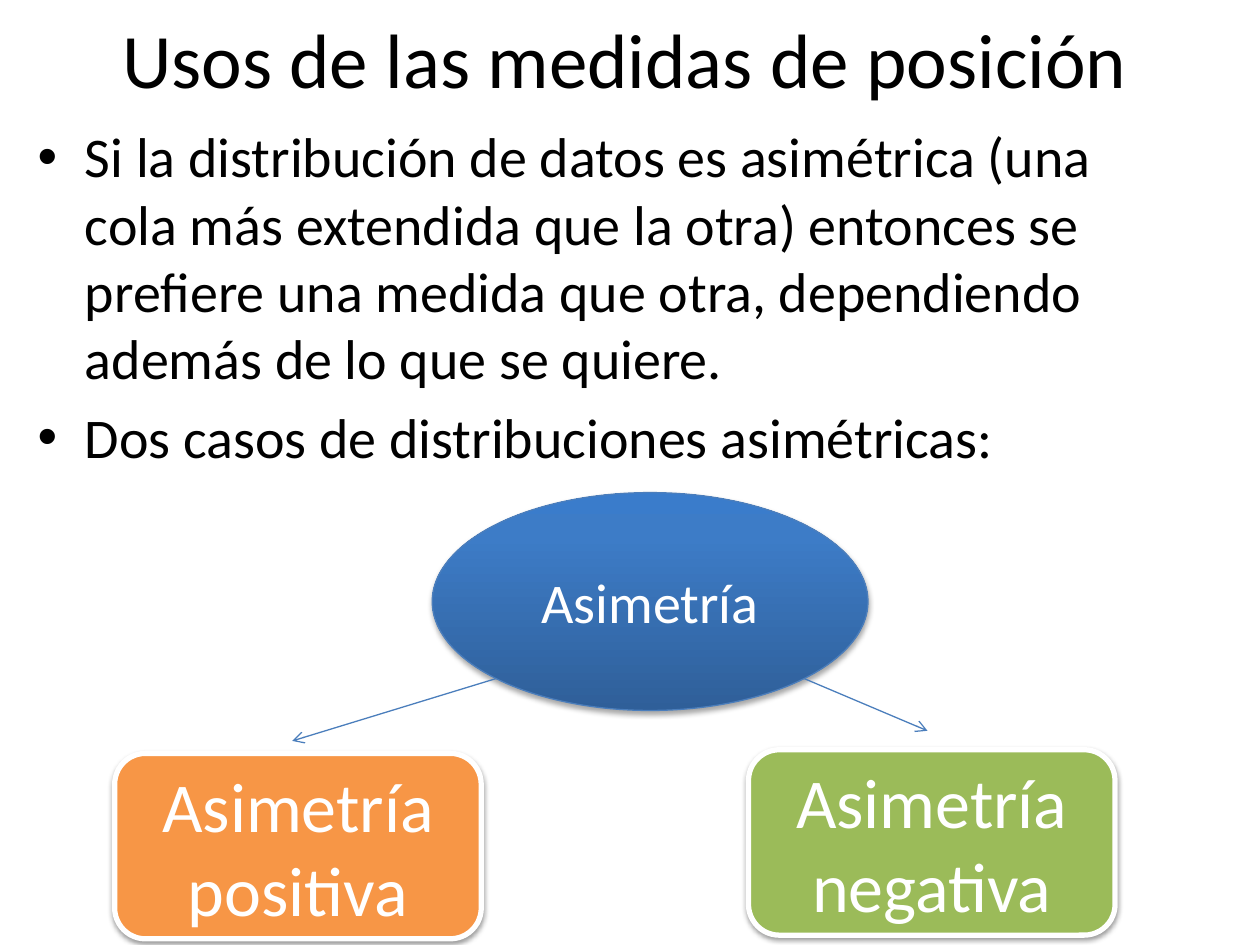
from copy import deepcopy
from dataclasses import dataclass
from math import sqrt

from lxml import etree
from pptx import Presentation
from pptx.dml.color import RGBColor
from pptx.enum.shapes import MSO_CONNECTOR, MSO_SHAPE
from pptx.enum.text import MSO_ANCHOR, PP_ALIGN
from pptx.oxml.ns import qn
from pptx.util import Pt

ELLIPSE, ROUNDED = MSO_SHAPE.OVAL, MSO_SHAPE.ROUNDED_RECTANGLE
STRAIGHT = MSO_CONNECTOR.STRAIGHT
TOP, MIDDLE = MSO_ANCHOR.TOP, MSO_ANCHOR.MIDDLE
LEFT, CENTER = PP_ALIGN.LEFT, PP_ALIGN.CENTER

COLORS = {
    "text": "000000",
    "white": "FFFFFF",
    "outline": "4B7EBC",
    "positive": "F79646",
    "negative": "9BBB59",
    "shadow": "000000",
}
ELLIPSE_GRADIENT = [(0, "2F5F99"), (0.8, "3D7CC7"), (1, "3A7CCB")]
INDENT = 27


@dataclass
class Area:
    left: float
    top: float
    width: float
    height: float

    def lengths(self) -> list:
        return [Pt(v) for v in (self.left, self.top, self.width, self.height)]


@dataclass
class Node:
    text: str
    area: Area
    preset: int
    size: float
    fill: str | None
    line: str
    line_width: float
    shadow_alpha: int
    shadow_distance: float


ROOT = Node("Asimetría", Area(247, 281.5, 249, 124.5), ELLIPSE, 32,
            None, "outline", 0.75, 35, 1.8)
CASES = [
    Node(f"Asimetría {name}", Area(left, top, 209.5, 106), ROUNDED, 40,
         fill, "white", 3, 38, 1.6)
    for name, left, top, fill in [
        ("positiva", 65.5, 430.5, "positive"),
        ("negativa", 427.7, 428.4, "negative"),
    ]
]
# Side of the ellipse on which each arrow starts, and its end point
ARROWS = [(-1, 167, 423.4), (1, 530, 417.6)]

TITLE = "Usos de las medidas de posición"
BULLETS = [
    "Si la distribución de datos es asimétrica (una cola más extendida que la "
    "otra) entonces se prefiere una medida que otra, dependiendo además de lo "
    "que se quiere.",
    "Dos casos de distribuciones asimétricas:",
]


def rgb(name: str) -> RGBColor:
    return RGBColor.from_string(COLORS[name])


def write(box, texts: list[str], size: float, color: str, anchor, align,
          bulleted: bool = False) -> None:
    frame = box.text_frame
    for name, value in {"word_wrap": True, "vertical_anchor": anchor}.items():
        setattr(frame, name, value)
    font_format = {"name": "Calibri", "size": Pt(size)}
    for index, text in enumerate(texts):
        para = frame.add_paragraph() if index else frame.paragraphs[0]
        para.alignment = align
        if index:
            para.space_before = Pt(size * 0.2)
        if bulleted:
            add_bullet(para)
        span = para.add_run()
        span.text = text
        for name, value in font_format.items():
            setattr(span.font, name, value)
        span.font.color.rgb = rgb(color)


def add_bullet(para) -> None:
    properties = para._p.get_or_add_pPr()
    properties.set("marL", str(Pt(INDENT)))
    properties.set("indent", str(-Pt(INDENT)))
    etree.SubElement(properties, qn("a:buFont"), typeface="Arial")
    etree.SubElement(properties, qn("a:buChar"), char="•")


def fill_gradient(shape, stops: list[tuple[float, str]]) -> None:
    """Fill from bottom to top with any number of stops."""
    shape.fill.gradient()
    shape.fill.gradient_angle = 90
    first = shape._element.spPr.find(".//" + qn("a:gs"))
    for _ in range(len(stops) - 2):
        first.addnext(deepcopy(first))
    for stop, (position, color) in zip(shape.fill.gradient_stops, stops):
        stop.position = position
        stop.color.rgb = RGBColor.from_string(color)


def add_shadow(shape, alpha: int, distance: float) -> None:
    """Drop a soft shadow straight down; alpha is in percent."""
    shape.shadow.inherit = False
    effects = shape._element.spPr.find(qn("a:effectLst"))
    shadow = etree.SubElement(
        effects, qn("a:outerShdw"), blurRad=str(Pt(3.1)),
        dist=str(Pt(distance)), dir="5400000", rotWithShape="0")
    color = etree.SubElement(shadow, qn("a:srgbClr"), val=COLORS["shadow"])
    etree.SubElement(color, qn("a:alpha"), val=str(alpha * 1000))


def draw_text(page, area: Area, texts: list[str], size: float, anchor, align,
              bulleted: bool = False) -> None:
    box = page.shapes.add_textbox(*area.lengths())
    write(box, texts, size, "text", anchor, align, bulleted)


def draw_node(page, node: Node) -> None:
    shape = page.shapes.add_shape(node.preset, *node.area.lengths())
    if node.fill:
        shape.fill.solid()
        shape.fill.fore_color.rgb = rgb(node.fill)
    else:
        fill_gradient(shape, ELLIPSE_GRADIENT)
    shape.line.color.rgb = rgb(node.line)
    shape.line.width = Pt(node.line_width)
    add_shadow(shape, node.shadow_alpha, node.shadow_distance)
    write(shape, [node.text], node.size, "white", MIDDLE, CENTER)


def draw_arrow(page, source: Area, side: int, end_x: float, end_y: float) -> None:
    """Start at the lower diagonal point of the source ellipse."""
    diagonal = sqrt(0.5)
    start_x = source.left + source.width / 2 * (1 + side * diagonal)
    start_y = source.top + source.height / 2 * (1 + diagonal)
    arrow = page.shapes.add_connector(
        STRAIGHT, Pt(start_x), Pt(start_y), Pt(end_x), Pt(end_y))
    arrow.line.color.rgb = rgb("outline")
    arrow.line.width = Pt(0.75)
    etree.SubElement(arrow.line._get_or_add_ln(), qn("a:tailEnd"), type="arrow")
    etree.SubElement(arrow._element.spPr, qn("a:effectLst"))


def main() -> None:
    deck = Presentation()
    deck.slide_width, deck.slide_height = Pt(720), Pt(540)
    page = deck.slides.add_slide(deck.slide_layouts[6])
    draw_text(page, Area(14.4, 66.2, 669, 360), BULLETS, 32, TOP, LEFT, True)
    draw_text(page, Area(31, 0, 652.3, 66.2), [TITLE], 44, MIDDLE, CENTER)
    draw_node(page, ROOT)
    for arrow in ARROWS:
        draw_arrow(page, ROOT.area, *arrow)
    for case in CASES:
        draw_node(page, case)
    deck.save("out.pptx")


if __name__ == "__main__":
    main()
